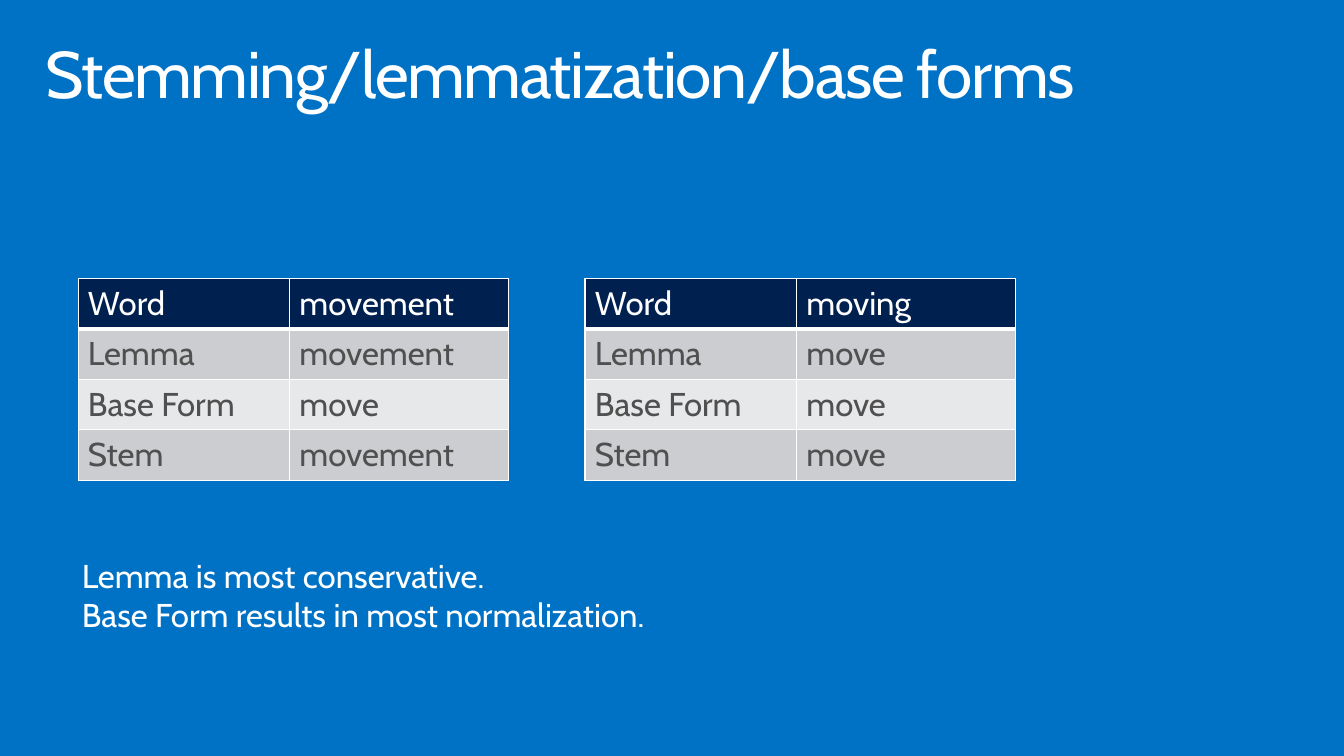
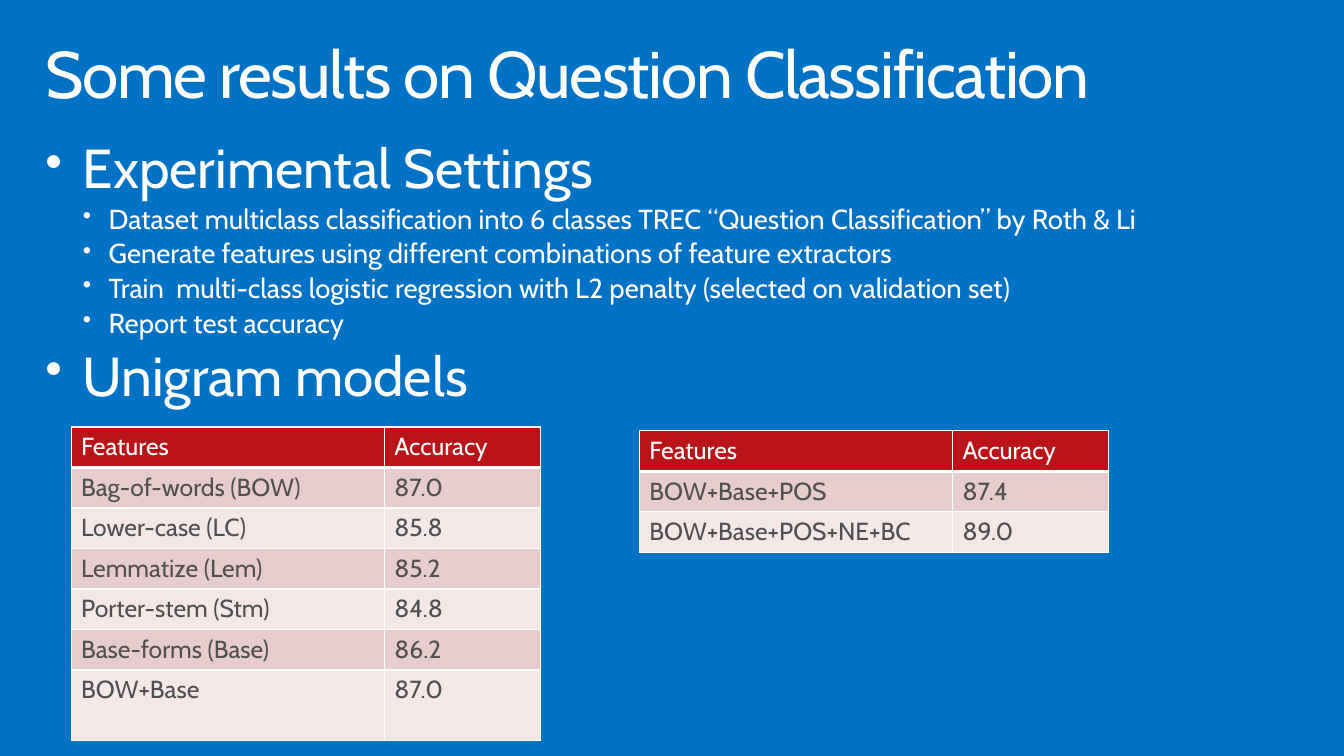
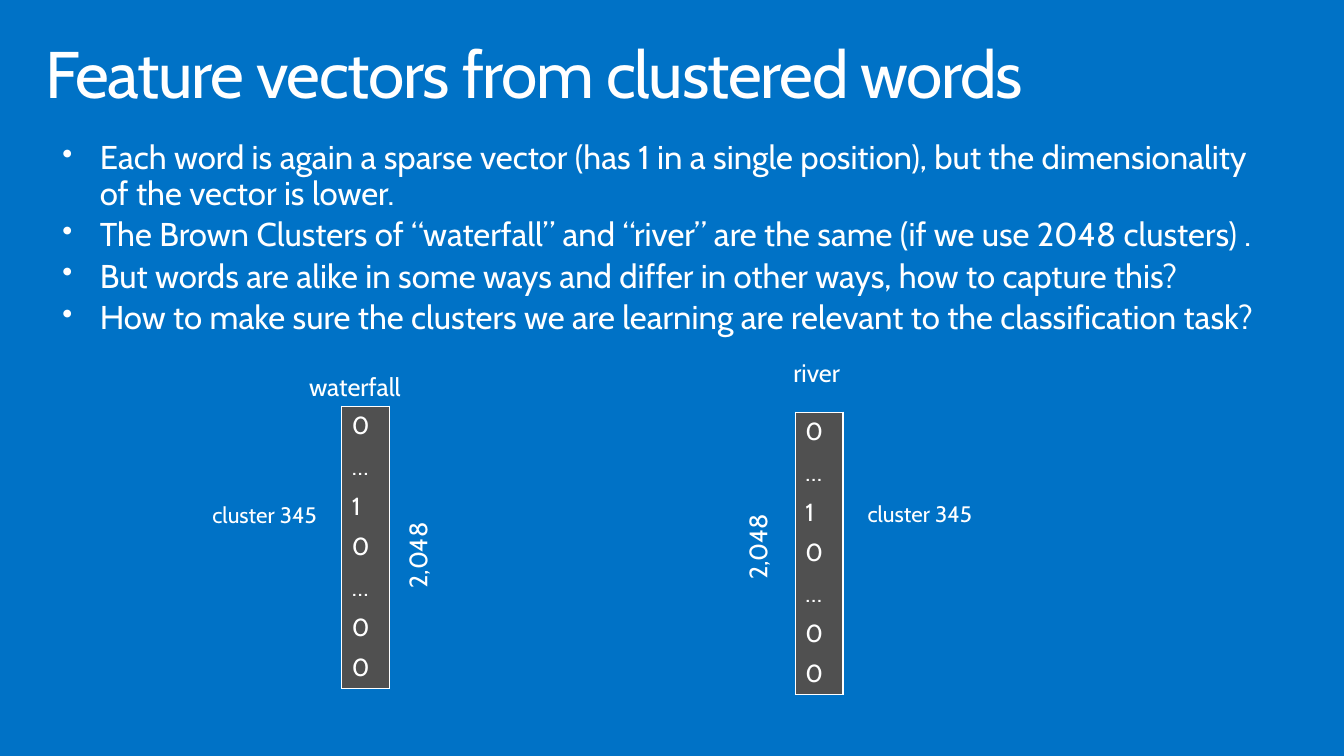
from lxml import etree
from pptx import Presentation
from pptx import util as u
from pptx.dml.color import RGBColor
from pptx.oxml import ns

COLORS = {
    "blue": "0072C6", "white": "FFFFFF", "gray": "505050", "navy": "002050",
    "silver": "CCCDD0", "mist": "E7E8E9",
    "red": "BA141A", "rose": "E7CCCD", "blush": "F3E7E8",
}
FONT = "Cabin"
COLS, ROWS = 136, 76.5
NO_STYLE = "{2D5ABB26-0587-4C30-8999-92F81FD0307C}"
BULLETS = {40: (3.8, 3.8), 24: (3.8, 3.8), 20: (6.4, 2.6)}


def rgb(name):
    """Return the named colour."""
    return RGBColor.from_string(COLORS[name])


def cell_border(cell, sides):
    """Draw white borders of the given point widths by side."""
    props = cell._tc.get_or_add_tcPr()
    for position, side in enumerate(s for s in "LRTB" if s in sides):
        line = etree.Element(ns.qn(f"a:ln{side}"), w=str(u.Pt(sides[side])))
        fill = etree.SubElement(line, ns.qn("a:solidFill"))
        etree.SubElement(fill, ns.qn("a:srgbClr"), val=COLORS["white"])
        props.insert(position, line)


def write(paragraph, text, *, size=24, color="white", spacing=None,
          before=0, tracking=None, indent=None):
    """Put formatted text into a paragraph."""
    if indent:
        margin, hang = (u.Inches(part / 10) for part in indent)
        props = paragraph._p.get_or_add_pPr()
        props.set("marL", str(margin))
        props.set("indent", str(-hang))
        etree.SubElement(props, ns.qn("a:buSzPct"), val="90000")
        etree.SubElement(props, ns.qn("a:buChar"), char="•")
    if spacing:
        paragraph.line_spacing = spacing
    if before:
        paragraph.space_before = u.Pt(before)
    run = paragraph.add_run()
    run.text = text
    run.font.name, run.font.size = FONT, u.Pt(size)
    run.font.color.rgb = rgb(color)
    if tracking:
        run._r.get_or_add_rPr().set("spc", str(tracking))


class Deck:
    """Holds the shared style and the current slide."""

    def __init__(self):
        """Set up the page and its background."""
        self.prs = Presentation()
        self.prs.slide_width, self.prs.slide_height = u.Inches(13.6), u.Inches(7.65)
        fill = self.prs.slide_master.background.fill
        fill.solid()
        fill.fore_color.rgb = rgb("blue")
        self.slide = None

    def x(self, cols):
        """Convert grid columns to a length."""
        return round(self.prs.slide_width * cols / COLS)

    def y(self, rows):
        """Convert grid rows to a length."""
        return round(self.prs.slide_height * rows / ROWS)

    def frame(self, left, top, width, height, inset=(1, 0.5), wrap=True, turn=0):
        """Add an empty text box and return its text frame."""
        box = self.slide.shapes.add_textbox(
            self.x(left), self.y(top), self.x(width), self.y(height))
        box.rotation = turn
        frame = box.text_frame
        frame.word_wrap = wrap
        frame.margin_left = frame.margin_right = self.x(inset[0])
        frame.margin_top = frame.margin_bottom = self.y(inset[1])
        return frame

    def page(self, title):
        """Start a slide with its title."""
        self.slide = self.prs.slides.add_slide(self.prs.slide_layouts[6])
        frame = self.frame(3, 3.2, 130, 10, inset=(1.6, 1))
        write(frame.paragraphs[0], title, size=48, spacing=0.9, tracking=-100)

    def bullets(self, left, top, width, height, items):
        """Add a bulleted list of (size, text) items."""
        frame = self.frame(left, top, width, height, inset=(1.6, 1))
        for index, (size, item) in enumerate(items):
            paragraph = frame.add_paragraph() if index else frame.paragraphs[0]
            write(paragraph, item, size=size, spacing=0.9,
                  before=round(0.18 * size, 2) if index else 0, indent=BULLETS[size])

    def label(self, left, top, width, height, *lines, size=18.4, wrap=False, turn=0):
        """Add plain lines of text."""
        frame = self.frame(left, top, width, height, wrap=wrap, turn=turn)
        for index, line in enumerate(lines):
            paragraph = frame.add_paragraph() if index else frame.paragraphs[0]
            write(paragraph, line, size=size)

    def grid(self, left, top, widths, heights, records, size):
        """Add an unstyled table and yield each cell with its row and text."""
        table = self.slide.shapes.add_table(
            len(records), len(widths), self.x(left), self.y(top),
            self.x(sum(widths)), self.y(sum(heights))).table
        table._tbl.tblPr.find(ns.qn("a:tableStyleId")).text = NO_STYLE
        table.first_row = table.horz_banding = False
        for column, width in zip(table.columns, widths):
            column.width = self.x(width)
        for row, height, record, number in zip(table.rows, heights, records, range(len(records))):
            row.height = self.y(height)
            for cell, value in zip(row.cells, record):
                yield cell, number, value, size

    def fill_cell(self, cell, value, size, fill, color, borders):
        """Colour, outline and fill one cell with text."""
        cell.fill.solid()
        cell.fill.fore_color.rgb = rgb(fill)
        cell_border(cell, borders)
        write(cell.text_frame.paragraphs[0], value, size=size, color=color)

    def banded(self, left, top, widths, heights, records, size, palette):
        """Add a table with a header and alternating rows."""
        header, *bands = palette
        for cell, row, value, points in self.grid(left, top, widths, heights, records, size):
            fill = bands[(row - 1) % 2] if row else header
            self.fill_cell(cell, value, points, fill, "gray" if row else "white",
                           {"L": 1, "R": 1, "T": 1, "B": 1 if row else 3})

    def vector(self, left, top, values):
        """Add a one-column vector outlined in white."""
        records = [(value,) for value in values]
        heights = [4.08] * len(values)
        for cell, row, value, size in self.grid(left, top, [4.8], heights, records, 18):
            borders = {"L": 1, "R": 1}
            if row == 0:
                borders["T"] = 1
            if row == len(values) - 1:
                borders["B"] = 1
            self.fill_cell(cell, value, size, "gray", "white", borders)


def base_forms(deck):
    """Build the slide on word normalization."""
    deck.page("Stemming/lemmatization/base forms")
    kinds = ("Word", "Lemma", "Base Form", "Stem")
    examples = (("movement", "movement", "move", "movement"),
                ("moving", "move", "move", "move"))
    for index, forms in enumerate(examples):
        deck.banded(7.9 + 51.3 * index, 28.2, (21.4, 22.2), [5.1] * 4,
                    list(zip(kinds, forms)), 24, ("navy", "silver", "mist"))
    deck.label(7.3, 55.7, 125.7, 9.1, "Lemma is most conservative.",
               "Base Form results in most normalization.", size=24, wrap=True)


def results(deck):
    """Build the slide with accuracy results."""
    deck.page("Some results on Question Classification")
    deck.bullets(3, 13.3, 130, 30.3, [
        (40, "Experimental Settings"),
        (20, "Dataset multiclass classification into 6 classes TREC “Question Classification” by Roth & Li"),
        (20, "Generate features using different combinations of feature extractors"),
        (20, "Train  multi-class logistic regression with L2 penalty (selected on validation set)"),
        (20, "Report test accuracy"),
        (40, "Unigram models"),
    ])
    header = ("Features", "Accuracy")
    unigrams = [header, ("Bag-of-words (BOW)", "87.0"), ("Lower-case (LC)", "85.8"),
                ("Lemmatize (Lem)", "85.2"), ("Porter-stem (Stm)", "84.8"),
                ("Base-forms (Base)", "86.2"), ("BOW+Base", "87.0")]
    combined = [header, ("BOW+Base+POS", "87.4"), ("BOW+Base+POS+NE+BC", "89.0")]
    for left, top, records, last in ((7.2, 43.2, unigrams, 7.1), (64.7, 43.6, combined, 4.1)):
        heights = [4.1] * (len(records) - 1) + [last]
        deck.banded(left, top, (31.7, 15.8), heights, records, 18, ("red", "rose", "blush"))


def clusters(deck):
    """Build the slide on cluster vectors."""
    deck.page("Feature vectors from clustered words")
    deck.bullets(4.7, 13.3, 125.8, 48.5, [(24, item) for item in (
        "Each word is again a sparse vector (has 1 in a single position), but the dimensionality of the vector is lower.",
        "The Brown Clusters of “waterfall” and “river” are the same (if we use 2048 clusters) .",
        "But words are alike in some ways and differ in other ways, how to capture this?",
        "How to make sure the clusters we are learning are relevant to the classification task?",
    )])
    for left, top in ((34.6, 41.1), (80.5, 41.7)):
        deck.vector(left, top, "0…10…00")
    deck.label(30.3, 37.1, 11.7, 4.1, "waterfall")
    deck.label(79.3, 35.7, 7, 4.1, "river")
    for left, top in ((37.6, 53.7), (72, 52.8)):
        deck.label(left, top, 9.4, 4.2, "2,048", wrap=True, turn=270)
    for left, top in ((20.5, 50.2), (86.8, 50.1)):
        deck.label(left, top, 13.2, 3.8, "cluster 345", size=16.3)


def main():
    """Build and save the deck."""
    deck = Deck()
    for build in (base_forms, results, clusters):
        build(deck)
    deck.prs.save("out.pptx")


if __name__ == "__main__":
    main()
